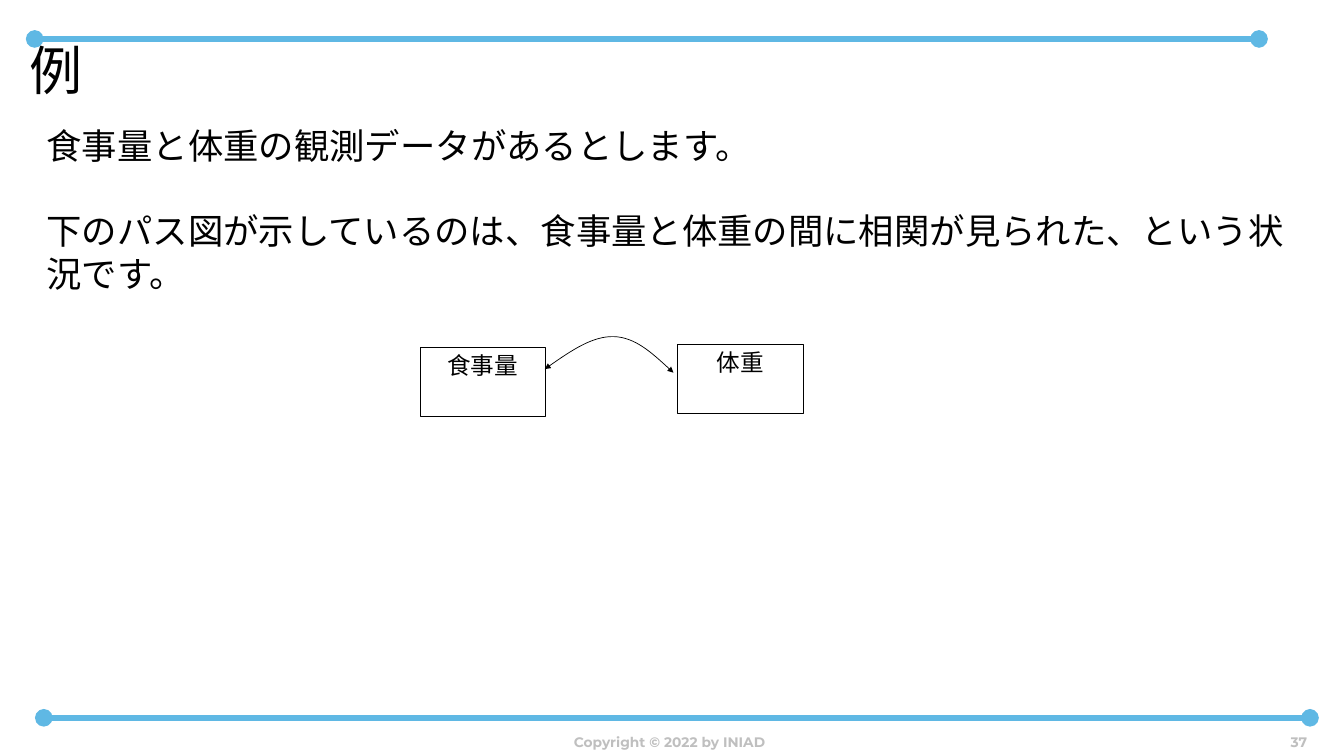
from dataclasses import dataclass

from lxml import etree
from pptx import Presentation
from pptx.dml.color import RGBColor
from pptx.enum.shapes import MSO_CONNECTOR, MSO_SHAPE
from pptx.enum.text import MSO_ANCHOR, MSO_AUTO_SIZE, PP_ALIGN
from pptx.oxml.ns import qn
from pptx.util import Inches, Pt

LEFT, CENTER, RIGHT = PP_ALIGN.LEFT, PP_ALIGN.CENTER, PP_ALIGN.RIGHT
TOP, BOTTOM = MSO_ANCHOR.TOP, MSO_ANCHOR.BOTTOM
NO_FIT = MSO_AUTO_SIZE.NONE
STRAIGHT, RECT = MSO_CONNECTOR.STRAIGHT, MSO_SHAPE.RECTANGLE

WIDTH, HEIGHT = Inches(19), Inches(10.69)
COLORS = {"ink": "000000", "paper": "FFFFFF", "rule": "5FB8E4", "foot": "BFBFBF"}
JAPAN, HEAD, FOOT = "Noto Sans CJK JP", "League Spartan", "Montserrat"
LEADING = 1.21  # line pitch as a multiple of the text size


@dataclass
class Area:
    """A region in percent of the slide's width and height."""
    x: float
    y: float
    w: float
    h: float

    def place(self) -> tuple[int, int, int, int]:
        return across(self.x), down(self.y), across(self.w), down(self.h)


@dataclass
class Style:
    font: str
    size: float
    color: str = "ink"
    bold: bool = False
    align: PP_ALIGN = LEFT
    anchor: MSO_ANCHOR = TOP


@dataclass
class Rule:
    start: float
    end: float
    y: float


@dataclass
class Label:
    text: str
    area: Area
    style: Style


def across(share: float) -> int:
    return round(WIDTH * share / 100)


def down(share: float) -> int:
    return round(HEIGHT * share / 100)


def tint(name: str) -> RGBColor:
    return RGBColor.from_string(COLORS[name])


def write(shape, lines: list[str], style: Style) -> None:
    frame = shape.text_frame
    for key, value in {"word_wrap": True, "auto_size": NO_FIT,
                       "vertical_anchor": style.anchor}.items():
        setattr(frame, key, value)
    frame.text = "\n".join(lines)
    pitch = Pt(style.size * LEADING)
    for i, para in enumerate(frame.paragraphs):
        para.alignment = style.align
        if style.font == JAPAN:
            para.line_spacing = pitch
        if i:
            para.space_before = pitch
        for run in para.runs:
            for key, value in {"name": style.font, "size": Pt(style.size),
                               "bold": style.bold}.items():
                setattr(run.font, key, value)
            run.font.color.rgb = tint(style.color)
            if style.font == JAPAN:
                props = run.font._element
                etree.SubElement(props, qn("a:ea"), typeface=JAPAN)


def stroke(shape, color: str, width: float, tip: str = "") -> None:
    shape.line.color.rgb = tint(color)
    shape.line.width = Pt(width)
    if tip:
        line = shape.line._get_or_add_ln()
        for end in ("a:headEnd", "a:tailEnd"):
            etree.SubElement(line, qn(end), type=tip)


def draw_rule(slide, rule: Rule) -> None:
    y = down(rule.y)
    line = slide.shapes.add_connector(
        STRAIGHT, across(rule.start), y, across(rule.end), y)
    stroke(line, "rule", 6, "oval")
    etree.SubElement(line._element.spPr, qn("a:effectLst"))


def draw_text(slide, area: Area, lines: list[str], style: Style) -> None:
    write(slide.shapes.add_textbox(*area.place()), lines, style)


def draw_box(slide, label: Label) -> None:
    box = slide.shapes.add_shape(RECT, *label.area.place())
    box.shadow.inherit = False
    box.fill.solid()
    box.fill.fore_color.rgb = tint("paper")
    stroke(box, "ink", 0.75)
    write(box, [label.text], label.style)


def draw_curve(slide, points: list[tuple[float, float]]) -> None:
    """Draw a cubic path: a start, then two handles and an end per bend."""
    start, *rest = [(across(x), down(y)) for x, y in points]
    pen = slide.shapes.build_freeform(*start)
    pen.add_line_segments(rest, close=False)
    curve = pen.convert_to_shape()
    route = next(curve._element.iter(qn("a:path")))
    steps = route.findall(qn("a:lnTo"))
    for i in range(0, len(steps), 3):
        bend = etree.SubElement(route, qn("a:cubicBezTo"))
        for step in steps[i:i + 3]:
            bend.append(step[0])
            route.remove(step)
    curve.shadow.inherit = False
    curve.fill.background()
    stroke(curve, "ink", 0.75, "triangle")


RULES = [Rule(2.58, 93.68, 5.15), Rule(3.26, 97.47, 94.95)]
FOOT_MID = Style(FOOT, 14, "foot", True, CENTER, BOTTOM)
FOOT_END = Style(FOOT, 14, "foot", True, RIGHT, BOTTOM)
NODE = Style(JAPAN, 24, align=CENTER)
FOOTERS = [
    Label("Copyright © 2022 by INIAD", Area(2.32, 94.95, 95, 4.77), FOOT_MID),
    Label("37", Area(92.32, 95.04, 5.47, 4.68), FOOT_END),
]
NODES = [
    Label("食事量", Area(31.26, 45.93, 9.32, 9.17), NODE),
    Label("体重", Area(50.42, 45.56, 9.32, 9.17), NODE),
]
ARC = [(40.53, 48.83), (42.32, 46.59), (44.11, 44.43), (45.68, 44.53),
       (47.26, 44.62), (48.68, 46.96), (50.11, 49.3)]
BODY = [
    "食事量と体重の観測データがあるとします。",
    "下のパス図が示しているのは、食事量と体重の間に相関が見られた、という状況です。",
]


def main() -> None:
    deck = Presentation()
    deck.slide_width, deck.slide_height = WIDTH, HEIGHT
    slide = deck.slides.add_slide(deck.slide_layouts[5])

    # Frame rules and footer
    for rule in RULES:
        draw_rule(slide, rule)
    for label in FOOTERS:
        draw_text(slide, label.area, [label.text], label.style)

    # Title
    title = slide.shapes.title
    place = Area(2.16, 4.96, 91.53, 14.5).place()
    for key, value in zip(("left", "top", "width", "height"), place):
        setattr(title, key, value)
    for side in ("left", "top", "right", "bottom"):
        setattr(title.text_frame, f"margin_{side}", 0)
    write(title, ["例"], Style(HEAD, 54))

    # Path diagram
    for node in NODES:
        draw_box(slide, node)
    draw_curve(slide, ARC)

    # Explanation
    draw_text(slide, Area(2.95, 15.9, 93.47, 23.57), BODY, Style(JAPAN, 36))

    deck.save("out.pptx")


if __name__ == "__main__":
    main()
